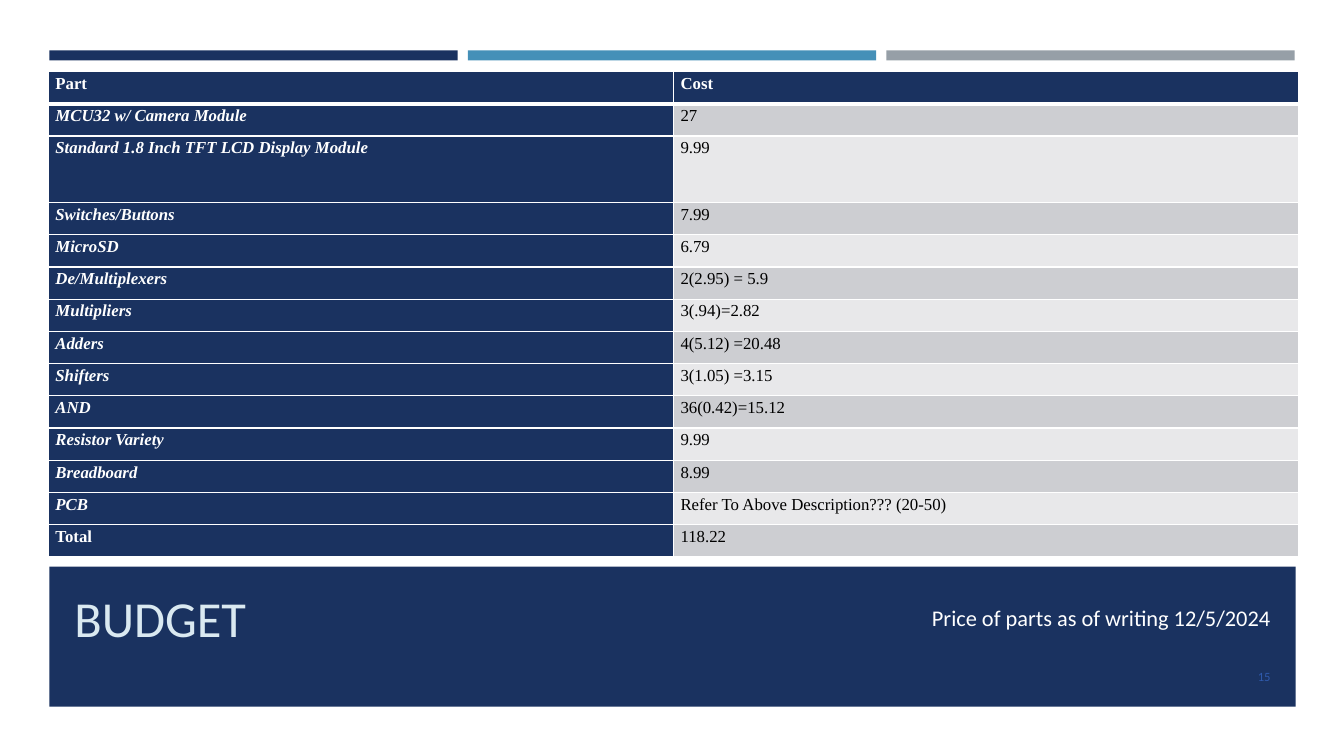
from lxml import etree
from pptx import Presentation
from pptx import util as u
from pptx.dml.color import RGBColor
from pptx.enum import shapes, text
from pptx.oxml.ns import qn

NAVY, WHITE, BLACK = "1A3260", "FFFFFF", "000000"
BANDS = ("CDCED2", "E8E8EA")
SERIF, SANS = "Times New Roman", "Calibri"
COSTS = [
    ("Part", "Cost"),
    ("MCU32 w/ Camera Module", "27"),
    ("Standard 1.8 Inch TFT LCD Display Module", "9.99"),
    ("Switches/Buttons", "7.99"),
    ("MicroSD", "6.79"),
    ("De/Multiplexers", "2(2.95) = 5.9"),
    ("Multipliers", "3(.94)=2.82"),
    ("Adders", "4(5.12) =20.48"),
    ("Shifters", "3(1.05) =3.15"),
    ("AND", "36(0.42)=15.12"),
    ("Resistor Variety", "9.99"),
    ("Breadboard", "8.99"),
    ("PCB", "Refer To Above Description??? (20-50)"),
    ("Total", "118.22"),
]
TALL = 2  # the display module row is higher than the rest


def color(code):
    return RGBColor.from_string(code)


def add_run(para, words, font, size, code, bold=False, italic=False):
    run = para.add_run()
    run.text = words
    run.font.name, run.font.size = font, u.Pt(size)
    run.font.bold, run.font.italic = bold, italic
    run.font.color.rgb = color(code)


def add_bar(slide, left, top, width, height, code):
    bar = slide.shapes.add_shape(
        shapes.MSO_SHAPE.RECTANGLE, *map(u.Inches, (left, top, width, height)))
    bar.shadow.inherit = False
    bar.fill.solid()
    bar.fill.fore_color.rgb = color(code)
    bar.line.fill.background()


def add_label(slide, box, words, size, code, align):
    frame = slide.shapes.add_textbox(*map(u.Inches, box)).text_frame
    frame.word_wrap = True
    frame.vertical_anchor = text.MSO_ANCHOR.MIDDLE
    para = frame.paragraphs[0]
    para.alignment = align
    add_run(para, words, SANS, size, code)


def set_edge(cell, side, width):
    edge = etree.SubElement(cell._tc.get_or_add_tcPr(), qn("a:ln" + side),
                            w=str(u.Pt(width)))
    fill = etree.SubElement(edge, qn("a:solidFill"))
    etree.SubElement(fill, qn("a:srgbClr"), val=WHITE)


def fill_cell(cell, words, row, col):
    head, last = row == 0, row == len(COSTS) - 1
    dark = head or col == 0
    cell.margin_left = cell.margin_right = u.Inches(0.07)
    cell.margin_top = cell.margin_bottom = 0
    # A thick rule parts the header from the first row
    for side in "LRTB":
        thick = (row, side) in ((0, "B"), (1, "T"))
        set_edge(cell, side, 3 if thick else 1)
    cell.fill.solid()
    cell.fill.fore_color.rgb = color(NAVY if dark else BANDS[(row - 1) % 2])
    para = cell.text_frame.paragraphs[0]
    para.line_spacing, para.space_after = 1.15, u.Pt(8)
    add_run(para, words, SERIF, 12, WHITE if dark else BLACK,
            bold=dark, italic=dark and not head and not last)


def add_costs(slide):
    box = map(u.Inches, (0.48, 0.71, 12.4, 4.82))
    table = slide.shapes.add_table(len(COSTS), 2, *box).table
    for col in table.columns:
        col.width = u.Inches(6.2)
    for row, pair in enumerate(COSTS):
        table.rows[row].height = u.Inches(0.66 if row == TALL else 0.32)
        for col, words in enumerate(pair):
            fill_cell(table.cell(row, col), words, row, col)


def main():
    deck = Presentation()
    deck.slide_width, deck.slide_height = u.Inches(13.33), u.Inches(7.5)
    slide = deck.slides.add_slide(deck.slide_layouts[6])

    # Top stripes and title band
    for i, code in enumerate((NAVY, "4590B8", "969FA7")):
        add_bar(slide, 0.49 + i * 4.15, 0.5, 4.05, 0.1, code)
    add_bar(slide, 0.49, 5.62, 12.36, 1.39, NAVY)

    # Title, remark and page number
    left, right = text.PP_ALIGN.LEFT, text.PP_ALIGN.RIGHT
    add_label(slide, (0.64, 5.75, 5.37, 0.75), "BUDGET", 36, "DAE9F1", left)
    add_label(slide, (6.28, 5.75, 6.42, 0.75),
              "Price of parts as of writing 12/5/2024", 16, WHITE, right)
    add_label(slide, (11.55, 6.51, 1.15, 0.4), "15", 9, "2F5AAC", right)

    # Parts and their costs
    add_costs(slide)
    deck.save("out.pptx")


if __name__ == "__main__":
    main()
